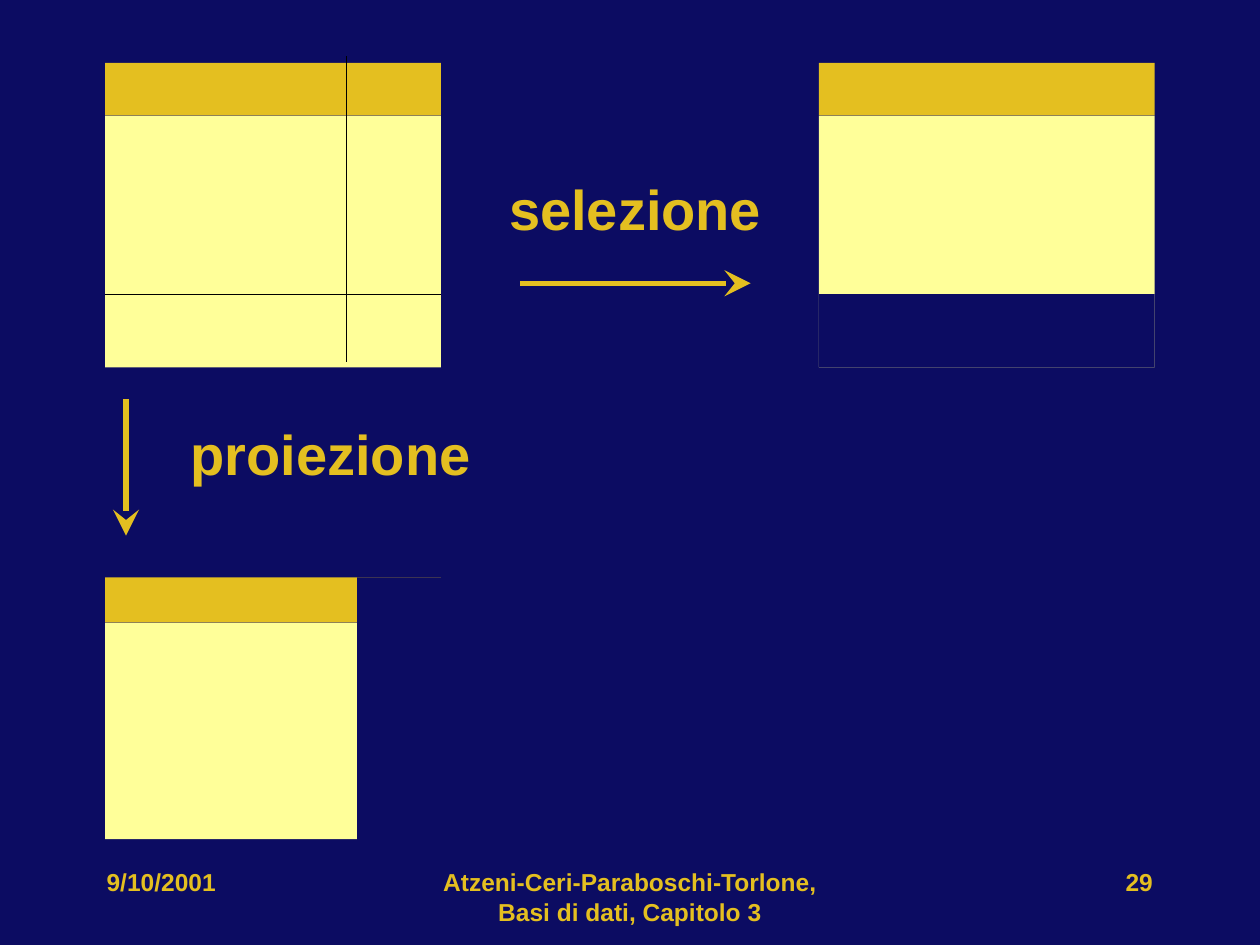
from lxml import etree
from pptx import Presentation
from pptx import util as u
from pptx.dml.color import RGBColor
from pptx.enum import shapes, text
from pptx.oxml.ns import qn

NAVY, GOLD, CREAM, BLACK = "0C0C62", "E4BF20", "FFFF99", "000000"


def paint(fill, colour):
    fill.solid()
    fill.fore_color.rgb = RGBColor.from_string(colour)


deck = Presentation()
deck.slide_width, deck.slide_height = u.Cm(25.4), u.Cm(19.05)
page = deck.slides.add_slide(deck.slide_layouts[6])
paint(page.background.fill, NAVY)

# Relations: a body under a header; navy blocks cover what each operation drops
table_left, result_left, table_width = 2.12, 16.51, 6.77
cut_row, cut_column = 5.93, 7.2
blocks = [
    (table_left, 2.33, table_width, 5.08, CREAM),
    (table_left, 1.27, table_width, 1.06, GOLD),
    (result_left, 2.33, table_width, 5.08, CREAM),
    (result_left, 1.27, table_width, 1.06, GOLD),
    (result_left, cut_row, table_width, 1.48, NAVY),
    (table_left, 12.55, table_width, 4.37, CREAM),
    (table_left, 11.64, table_width, 0.91, GOLD),
    (cut_column, 11.64, 1.69, 6.15, NAVY),
]
for left, top, width, height, colour in blocks:
    block = page.shapes.add_shape(
        shapes.MSO_SHAPE.RECTANGLE, u.Cm(left), u.Cm(top), u.Cm(width), u.Cm(height))
    block.shadow.inherit = False
    paint(block.fill, colour)
    block.line.fill.background()

# Cut lines in black, operation arrows in gold
lines = [
    (table_left, cut_row, table_left + table_width, cut_row, BLACK, 0.75),
    (6.98, 7.29, 6.98, 1.12, BLACK, 0.75),
    (10.48, 5.71, 15.13, 5.71, GOLD, 3),
    (2.54, 8.04, 2.54, 10.8, GOLD, 3),
]
for x1, y1, x2, y2, colour, weight in lines:
    line = page.shapes.add_connector(
        shapes.MSO_CONNECTOR.STRAIGHT, u.Cm(x1), u.Cm(y1), u.Cm(x2), u.Cm(y2))
    paint(line.line.fill, colour)
    line.line.width = u.Pt(weight)
    if colour == GOLD:
        etree.SubElement(line.line._get_or_add_ln(), qn("a:tailEnd"),
                         type="stealth", w="lg", len="lg")
    etree.SubElement(line._element.spPr, qn("a:effectLst"))

# Operation names and footer
align = text.PP_ALIGN
labels = [
    ("selezione", 9.95, 3.39, 5.72, 1.63, 32, align.CENTER),
    ("proiezione", 3.39, 8.34, 6.56, 1.63, 32, align.CENTER),
    ("Atzeni-Ceri-Paraboschi-Torlone, Basi di dati, Capitolo 3",
     8.68, 17.36, 8.04, 1.27, 14, align.CENTER),
    ("29", 18.2, 17.36, 5.29, 1.27, 14, align.RIGHT),
    ("9/10/2001", 1.9, 17.36, 5.29, 1.27, 14, align.LEFT),
]
for words, left, top, width, height, size, alignment in labels:
    box = page.shapes.add_textbox(u.Cm(left), u.Cm(top), u.Cm(width), u.Cm(height))
    box.text_frame.word_wrap = True
    para = box.text_frame.paragraphs[0]
    para.alignment = alignment
    span = para.add_run()
    span.text = words
    span.font.name, span.font.size, span.font.bold = "Arial", u.Pt(size), True
    paint(span.font.fill, GOLD)

deck.save("out.pptx")
